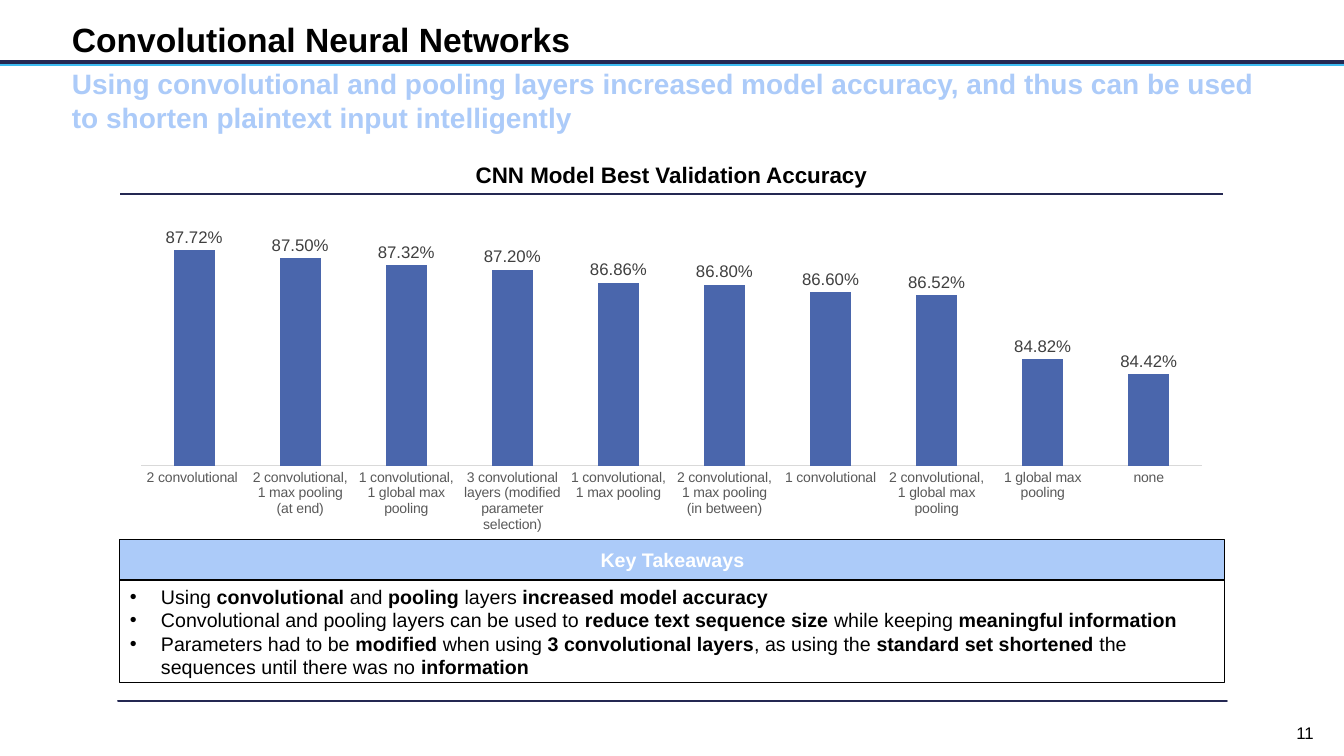
import pptx
import pptx.chart.data
import pptx.dml.color
import pptx.enum.chart
import pptx.enum.shapes
import pptx.enum.text
import pptx.oxml
import pptx.oxml.ns
import pptx.util
from dataclasses import dataclass
from lxml import etree

EMU_PER_PX = 914400 / 100.8
ALIGN = pptx.enum.text.PP_ALIGN
ANCHOR = pptx.enum.text.MSO_ANCHOR
RECTANGLE = pptx.enum.shapes.MSO_SHAPE.RECTANGLE


@dataclass(frozen=True)
class Theme:
    font: str = "Arial"
    ink: str = "000000"
    white: str = "FFFFFF"
    navy: str = "242852"
    footer: str = "121429"
    sky: str = "ACCBF9"
    glow: str = "3EBBF0"
    bar: str = "4A66AC"
    label: str = "404040"
    axis_text: str = "595959"
    axis_line: str = "D9D9D9"
    title: int = 24
    subtitle: int = 20
    heading: int = 16
    body: int = 14
    small: int = 12
    tiny: int = 10
    mini: int = 9


THEME = Theme()

ACCURACY = {
    "2 convolutional ": 0.8772,
    "2 convolutional, 1 max pooling (at end)": 0.875,
    "1 convolutional, 1 global max pooling": 0.8732,
    "3 convolutional layers (modified parameter selection)": 0.872,
    "1 convolutional, 1 max pooling": 0.8686,
    "2 convolutional, 1 max pooling (in between)": 0.868,
    "1 convolutional": 0.866,
    "2 convolutional, 1 global max pooling": 0.8652,
    "1 global max pooling": 0.8482,
    "none": 0.8442,
}

# Asterisks enclose the bold words.
TAKEAWAYS = [
    "Using *convolutional* and *pooling* layers *increased model accuracy*",
    "Convolutional and pooling layers can be used to *reduce text sequence size *"
    "while keeping *meaningful information*",
    "Parameters had to be *modified *when using *3 convolutional layers*, as using the "
    "*standard set shortened *the sequences until there was no *information*",
]


def px(*lengths):
    """Turn pixel lengths into EMU."""
    return [pptx.util.Emu(round(length * EMU_PER_PX)) for length in lengths]


def rgb(color):
    return pptx.dml.color.RGBColor.from_string(color)


def style_font(font, size, color, bold=False):
    font.name = THEME.font
    font.size = pptx.util.Pt(size)
    font.color.rgb = rgb(color)
    font.bold = bold


def write(frame, text, size, color=THEME.ink, bold=False, align=ALIGN.LEFT):
    frame.word_wrap = True
    frame.text = text
    para = frame.paragraphs[0]
    para.alignment = align
    style_font(para.runs[0].font, size, color, bold)
    return para


def add_text(page, place, text, size, anchor=ANCHOR.MIDDLE, **style):
    box = page.shapes.add_textbox(*px(*place))
    box.text_frame.vertical_anchor = anchor
    return write(box.text_frame, text, size, **style)


def add_box(shapes, place, fill, line, weight):
    box = shapes.add_shape(RECTANGLE, *px(*place))
    box.shadow.inherit = False
    if fill:
        box.fill.solid()
        box.fill.fore_color.rgb = rgb(fill)
    else:
        box.fill.background()
    box.line.color.rgb = rgb(line)
    box.line.width = pptx.util.Pt(weight)
    frame = box.text_frame
    frame.vertical_anchor = ANCHOR.MIDDLE
    frame.margin_left, frame.margin_top, frame.margin_right, frame.margin_bottom = px(10, 10, 10, 10)
    return box


def add_title_rule(page):
    """Draw the navy line with its light blue shadow below."""
    rule = page.shapes.add_connector(
        pptx.enum.shapes.MSO_CONNECTOR.STRAIGHT, *px(1344, 62, 0, 62))
    rule.line.color.rgb = rgb(THEME.navy)
    rule.line.width = pptx.util.Pt(2.25)
    namespace = pptx.oxml.ns.nsdecls("a")
    rule._element.spPr.append(pptx.oxml.parse_xml(
        f'<a:effectLst {namespace}><a:outerShdw dist="25400" dir="5400000" algn="t" '
        f'rotWithShape="0"><a:srgbClr val="{THEME.glow}"/></a:outerShdw></a:effectLst>'))


def add_chart_heading(page, place, text):
    """Add a one-cell table whose only border is at the bottom."""
    table = page.shapes.add_table(1, 1, *px(*place)).table
    table.first_row = table.horz_banding = False
    cell = table.cell(0, 0)
    cell.fill.background()
    cell.vertical_anchor = ANCHOR.MIDDLE
    write(cell.text_frame, text, THEME.heading, bold=True, align=ALIGN.CENTER)
    cell._tc.get_or_add_tcPr().insert(0, pptx.oxml.parse_xml(
        f'<a:lnB {pptx.oxml.ns.nsdecls("a")} w="19050"><a:solidFill>'
        f'<a:srgbClr val="{THEME.navy}"/></a:solidFill></a:lnB>'))


def fix_plot_area(chart, **fractions):
    """Place the inner plot area by fractions of the chart size."""
    parts = "".join(f'<c:{name} val="{value}"/>' for name, value in fractions.items())
    plot_area = chart._chartSpace.chart.plotArea
    for layout in plot_area.findall(pptx.oxml.ns.qn("c:layout")):
        plot_area.remove(layout)
    plot_area.insert(0, pptx.oxml.parse_xml(
        f'<c:layout {pptx.oxml.ns.nsdecls("c")}><c:manualLayout>'
        '<c:layoutTarget val="inner"/><c:xMode val="edge"/><c:yMode val="edge"/>'
        f'{parts}</c:manualLayout></c:layout>'))


def add_accuracy_chart(page, place):
    data = pptx.chart.data.CategoryChartData(number_format="0.00%")
    data.categories = list(ACCURACY)
    data.add_series("Series 1", [None] * len(ACCURACY))
    data.add_series("Series 2", list(ACCURACY.values()))
    chart = page.shapes.add_chart(
        pptx.enum.chart.XL_CHART_TYPE.COLUMN_CLUSTERED, *px(*place), data).chart
    chart.has_legend = chart.has_title = False
    style_font(chart.font, THEME.tiny, THEME.ink)
    fix_plot_area(chart, x=0.02, y=0.02, w=0.96, h=0.76)

    plot = chart.plots[0]
    plot.vary_by_categories = False
    plot.gap_width, plot.overlap = 157, 100
    for bars, size in zip(plot.series, (THEME.mini, THEME.small)):
        bars.format.fill.solid()
        bars.format.fill.fore_color.rgb = rgb(THEME.bar)
        labels = bars.data_labels
        labels.show_value = True
        labels.number_format, labels.number_format_is_linked = "0.00%", False
        labels.position = pptx.enum.chart.XL_LABEL_POSITION.OUTSIDE_END
        style_font(labels.font, size, THEME.label)

    values = chart.value_axis
    values.minimum_scale, values.maximum_scale = 0.82, 0.89
    values.has_major_gridlines = values.visible = False
    names = chart.category_axis
    names.major_tick_mark = pptx.enum.chart.XL_TICK_MARK.NONE
    names.format.line.color.rgb = rgb(THEME.axis_line)
    names.format.line.width = pptx.util.Pt(0.75)
    style_font(names.tick_labels.font, THEME.tiny, THEME.axis_text)
    names._element.txPr.bodyPr.set("rot", "0")


def write_bullet(para, marked_text):
    para.alignment = ALIGN.LEFT
    for index, words in enumerate(marked_text.split("*")):
        if words:
            span = para.add_run()
            span.text = words
            style_font(span.font, THEME.body, THEME.ink, bold=index % 2 == 1)
    indent = px(31)[0]
    properties = para._p.get_or_add_pPr()
    properties.set("marL", str(indent))
    properties.set("indent", str(-indent))
    etree.SubElement(properties, pptx.oxml.ns.qn("a:buFont"), typeface=THEME.font)
    etree.SubElement(properties, pptx.oxml.ns.qn("a:buChar"), char="•")


def add_takeaways(page):
    panel = page.shapes.add_group_shape()
    header = add_box(panel.shapes, (120, 540, 1105, 40), THEME.sky, THEME.ink, 0.75)
    write(header.text_frame, "Key Takeaways", THEME.body, THEME.white, True, ALIGN.CENTER)
    frame = add_box(panel.shapes, (120, 580, 1105, 103), None, THEME.ink, 0.75).text_frame
    frame.word_wrap = True
    for index, takeaway in enumerate(TAKEAWAYS):
        write_bullet(frame.add_paragraph() if index else frame.paragraphs[0], takeaway)


def main():
    deck = pptx.Presentation()
    deck.slide_width, deck.slide_height = px(1344, 756)
    page = deck.slides.add_slide(deck.slide_layouts[6])
    add_box(page.shapes, (118, 701, 1109, 0), THEME.footer, THEME.navy, 1)
    add_title_rule(page)
    add_text(page, (1266, 710, 78, 46), "11", THEME.small, align=ALIGN.CENTER)
    add_text(page, (62, 18, 1220, 43), "Convolutional Neural Networks", THEME.title, bold=True)
    subtitle = add_text(
        page, (62, 62, 1220, 77),
        "Using convolutional and pooling layers increased model accuracy, "
        "and thus can be used to shorten plaintext input intelligently",
        THEME.subtitle, ANCHOR.TOP, color=THEME.sky, bold=True)
    subtitle.space_before = pptx.util.Pt(3.8)
    add_accuracy_chart(page, (119, 195, 1105, 347))
    add_chart_heading(page, (119, 157, 1105, 35), "CNN Model Best Validation Accuracy")
    add_takeaways(page)
    deck.save("out.pptx")


if __name__ == "__main__":
    main()
